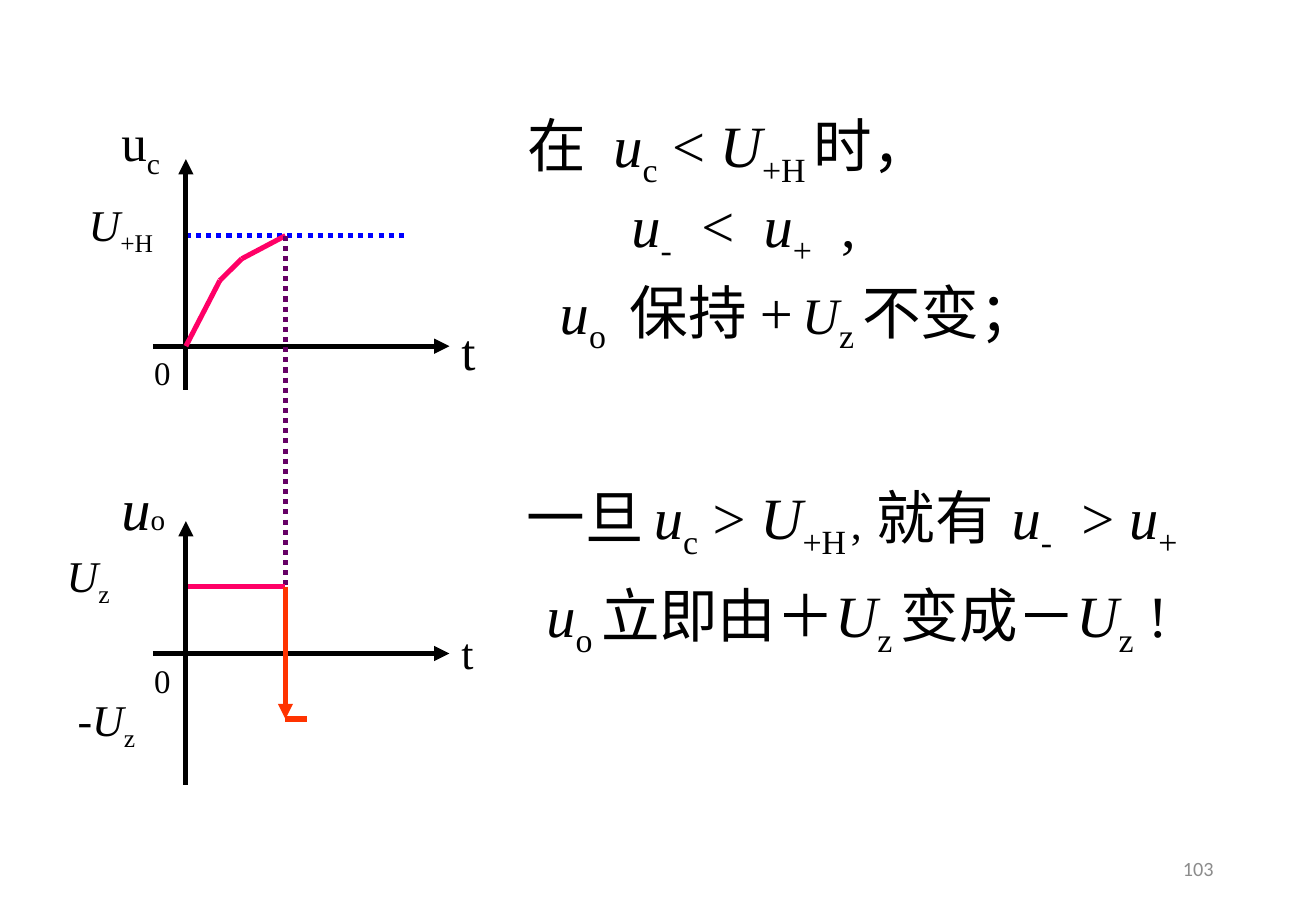
from dataclasses import dataclass
from itertools import pairwise

from pptx import Presentation
from pptx.dml.color import RGBColor
from pptx.enum import dml, shapes, text
from pptx.oxml import ns, xmlchemy
from pptx.util import Pt


@dataclass(frozen=True)
class Theme:
    serif: str = "Times New Roman"
    sans: str = "Calibri"
    ink: str = "000000"
    grey: str = "8C8C8C"
    blue: str = "0000FF"
    pink: str = "FF0066"
    plum: str = "660066"
    red: str = "FF3300"
    big: float = 34.7
    mid: float = 30.3
    label: float = 26
    small: float = 19.5
    page: float = 12
    gap: float = 8.7
    stroke: float = 3


T = Theme()

# Run styles: plain, italic, subscript, wide gap
N, I, S, W = "plain", "italic", "sub", "wide"
WIDE = (" ", W)

# Shared places on both graphs
LEFT, AXIS, STEP, RIGHT = 90.7, 110.2, 169.2, 266.4
ZERO_C, HIGH_C = 205.2, 139.7
ZERO_O, HIGH_O, LOW_O = 387.4, 347.8, 426.2


def var(name, sub):
    """An italic symbol with its subscript."""
    return [(name, I), (sub, S)]


def add_text(slide, box, runs, size=T.big, font=T.serif, color=T.ink):
    """Add a one-paragraph box; a run is (text, style[, size])."""
    frame = slide.shapes.add_textbox(*map(Pt, box)).text_frame
    frame.word_wrap = True
    para = frame.paragraphs[0]
    for words, style, *own in runs:
        run = para.add_run()
        run.text = words
        run.font.name = font
        run.font.size = Pt(own[0] if own else size)
        run.font.italic = style == I
        run.font.color.rgb = RGBColor.from_string(color)
        props = run._r.get_or_add_rPr()
        if style == S:
            props.set("baseline", "-25000")
        if style == W:
            props.set("spc", str(round(T.gap * 100)))
    return frame


def add_line(slide, start, end, color=T.ink, dots=False, arrow=False):
    line = slide.shapes.add_connector(
        shapes.MSO_CONNECTOR.STRAIGHT, *map(Pt, (*start, *end)))
    line.line.width = Pt(T.stroke)
    line.line.color.rgb = RGBColor.from_string(color)
    if dots:
        line.line.dash_style = dml.MSO_LINE.ROUND_DOT
    if arrow:
        tip = xmlchemy.OxmlElement("a:tailEnd")
        tip.set("type", "triangle")
        line.line._get_or_add_ln().append(tip)
    props = line._element.find(ns.qn("p:spPr"))
    props.append(xmlchemy.OxmlElement("a:effectLst"))


def add_path(slide, points, color):
    for start, end in pairwise(points):
        add_line(slide, start, end, color)


def add_axes(slide, zero, top, foot):
    add_line(slide, (LEFT, zero), (RIGHT, zero), arrow=True)
    add_line(slide, (AXIS, foot), (AXIS, top), arrow=True)
    add_text(slide, (84.3, zero + 0.4, 32.4, 31), [("0", N)], T.small)


def draw_input(slide):
    add_line(slide, (AXIS, HIGH_C), (240.5, HIGH_C), T.blue, dots=True)
    add_axes(slide, ZERO_C, 94.3, 231.1)
    add_text(slide, (45.4, 113.8, 71.3, 39), var("U", "+H"), T.label)
    add_text(slide, (64.8, 61.9, 51.8, 44), [("u", N), ("c", S)], T.mid)
    add_text(slide, (RIGHT, 185.8, 38.9, 44), [("t", N)], T.mid)
    curve = [(AXIS, ZERO_C), (130.3, 166.3), (143.3, 153.4), (STEP, HIGH_C)]
    add_path(slide, curve, T.pink)


def draw_output(slide):
    add_line(slide, (STEP, HIGH_C), (STEP, HIGH_O), T.plum, dots=True)
    add_line(slide, (AXIS, HIGH_O), (STEP, HIGH_O), T.pink)
    add_axes(slide, ZERO_O, 308.9, 465.1)
    add_text(slide, (RIGHT, 367.2, 38.9, 39), [("t", N)], T.label)
    add_text(slide, (64.8, 276.5, 51.8, 49), [("u", I), ("o", N, 17.3)])
    add_text(slide, (32.4, 321.8, 77.8, 39), var("U", "z"), T.label)
    add_text(slide, (38.9, 406.8, 77.8, 39),
             [("-", N), *var("U", "z")], T.label)
    add_line(slide, (STEP, HIGH_O), (STEP, LOW_O), T.red, arrow=True)
    add_line(slide, (STEP, LOW_O), (182.2, LOW_O), T.red)


def write_notes(slide):
    # Before the threshold
    add_text(slide, (305.3, 61.2, 329.8, 49), [
        ("在", N), WIDE, *var("u", "c"), (" < ", N), *var("U", "+H"),
        (" ", N, T.small), ("时，", N)])
    add_text(slide, (367.2, 108.7, 305.3, 49), [
        *var("u", "-"), WIDE, ("<", N), WIDE, *var("u", "+"), WIDE,
        (",", N)])
    add_text(slide, (324.7, 159.8, 377.3, 49), [
        *var("u", "o"), (" ", W, 21.7), ("保持 +", N), (" ", N, 21.7),
        ("U", I, T.mid), ("z", S), (" ", N, T.small), ("不变；", N)])
    # After the threshold
    add_text(slide, (305.3, 268.6, 429.1, 65), [
        ("一旦", N), (" ", N, T.label), *var("u", "c"), (" > ", N),
        *var("U", "+H"), (" ", S, T.small), (",", N, T.label),
        (" 就有", N), (" ", N, 47.7), *var("u", "-"), WIDE, ("> ", N),
        *var("u", "+")])
    add_text(slide, (316.8, 339.8, 406.1, 49), [
        *var("u", "o "), ("立即由＋", N), *var("U", "z "),
        ("变成－", N), *var("U", "z"), (" !", N)])


def add_page(slide):
    frame = add_text(slide, (550.8, 500.4, 175.7, 28.8), [("103", N)],
                     T.page, T.sans, T.grey)
    frame.vertical_anchor = text.MSO_ANCHOR.MIDDLE
    frame.paragraphs[0].alignment = text.PP_ALIGN.RIGHT


def main():
    deck = Presentation()
    deck.slide_width, deck.slide_height = Pt(780), Pt(540)
    slide = deck.slides.add_slide(deck.slide_layouts[6])
    draw_input(slide)
    draw_output(slide)
    write_notes(slide)
    add_page(slide)
    deck.save("out.pptx")


if __name__ == "__main__":
    main()
